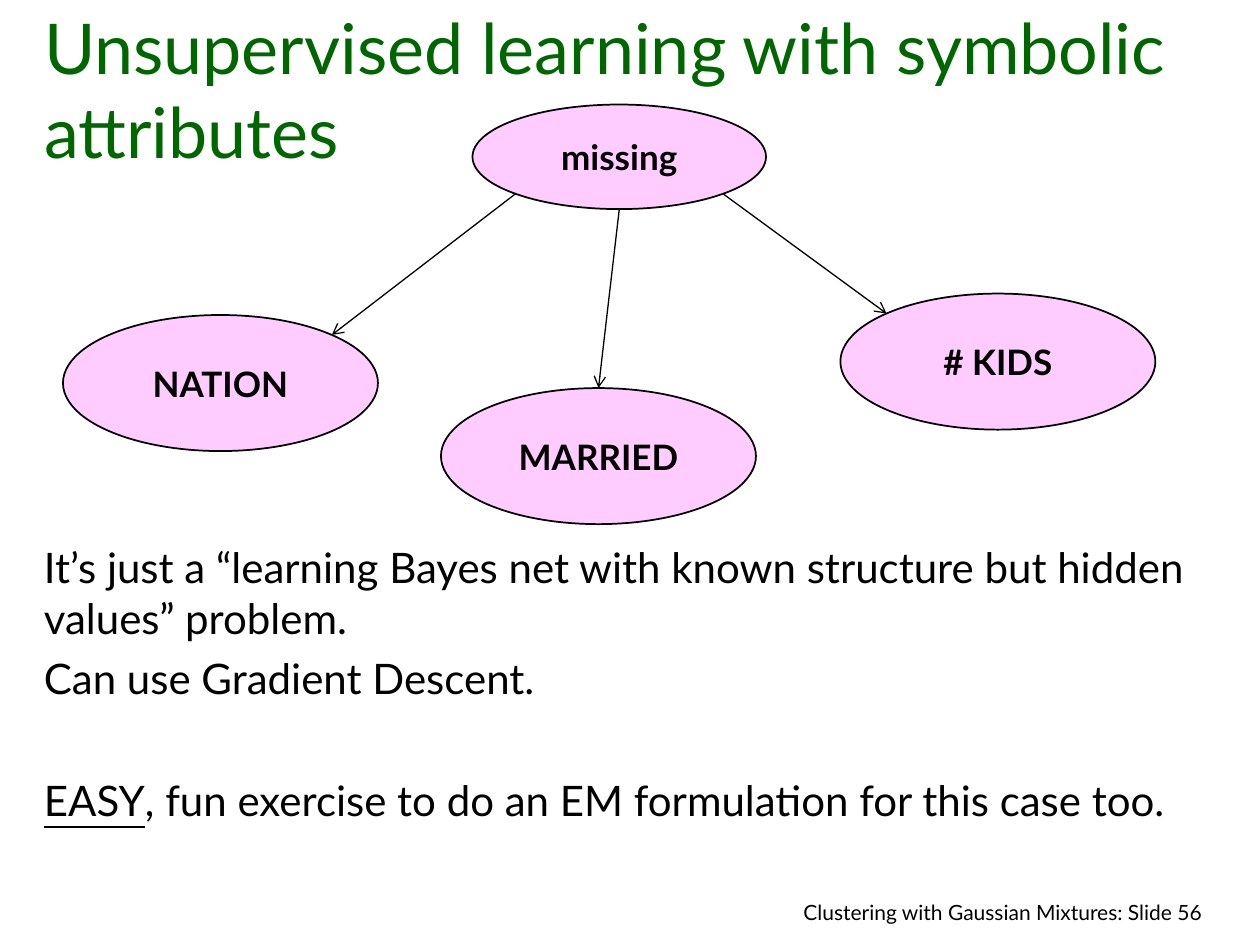
from math import sqrt

from lxml import etree
from pptx import Presentation
from pptx import util as u
from pptx.dml.color import RGBColor
from pptx.enum import shapes, text
from pptx.oxml import ns

FONT = "Lato"
BLACK = RGBColor(0x00, 0x00, 0x00)
GREEN = RGBColor(0x00, 0x66, 0x00)
PINK = RGBColor(0xFF, 0xCC, 0xFF)

# Content
TITLE = "Unsupervised learning with symbolic attributes"
FOOTER = "Clustering with Gaussian Mixtures: Slide 56"
# Each paragraph: space before in points, then (words, underlined) runs
BODY = [
    (6, [("It’s just a “learning Bayes net with known structure "
          "but hidden values” problem.", False)]),
    (6, [("Can use Gradient Descent.", False)]),
    (40.8, [("EASY", True),
            (", fun exercise to do an EM formulation for this case too.", False)]),
]
# Nodes of the network: left, top, width, height
NODES = {
    "# KIDS": (6.67, 2.33, 2.5, 1.08),
    "MARRIED": (3.5, 3.08, 2.5, 1.08),
    "NATION": (0.5, 2.5, 2.5, 1.08),
    "missing": (3.75, 0.83, 2.33, 0.83),
}
# Directions on an ellipse, as offsets from its centre in half-axes
DIAGONAL = 1 / sqrt(2)
TOP, BOTTOM = (0, -1), (0, 1)
TOP_LEFT, TOP_RIGHT = (-DIAGONAL, -DIAGONAL), (DIAGONAL, -DIAGONAL)
BOTTOM_LEFT, BOTTOM_RIGHT = (-DIAGONAL, DIAGONAL), (DIAGONAL, DIAGONAL)
EDGES = [
    ("missing", BOTTOM, "MARRIED", TOP),
    ("missing", BOTTOM_LEFT, "NATION", TOP_RIGHT),
    ("missing", BOTTOM_RIGHT, "# KIDS", TOP_LEFT),
]


def inches(values):
    return [u.Inches(value) for value in values]


def format_paragraph(paragraph, size, color=BLACK, bold=False,
                     align=text.PP_ALIGN.LEFT, before=0):
    paragraph.alignment = align
    paragraph.space_before = u.Pt(before)
    for run in paragraph.runs:
        run.font.name = FONT
        run.font.size = u.Pt(size)
        run.font.bold = bold
        run.font.color.rgb = color


def add_text_box(slide, box):
    text_frame = slide.shapes.add_textbox(*inches(box)).text_frame
    text_frame.word_wrap = True
    return text_frame


def add_title(slide):
    title = slide.shapes.title
    title.left, title.top, title.width, title.height = inches((0.25, 0.25, 9.33, 1.17))
    text_frame = title.text_frame
    text_frame.text = TITLE
    text_frame.auto_size = text.MSO_AUTO_SIZE.NONE
    text_frame.vertical_anchor = text.MSO_ANCHOR.BOTTOM
    format_paragraph(text_frame.paragraphs[0], 40, GREEN)


def add_body(slide):
    text_frame = add_text_box(slide, (0.25, 4.25, 9.38, 2.83))
    for index, (before, runs) in enumerate(BODY):
        paragraph = text_frame.add_paragraph() if index else text_frame.paragraphs[0]
        for words, underlined in runs:
            run = paragraph.add_run()
            run.text = words
            run.font.underline = underlined
        format_paragraph(paragraph, 24, before=before)


def add_footer(slide):
    text_frame = add_text_box(slide, (5.72, 7.09, 3.92, 0.33))
    text_frame.text = FOOTER
    format_paragraph(text_frame.paragraphs[0], 12,
                     align=text.PP_ALIGN.RIGHT, before=7.5)


def add_node(slide, label, box):
    node = slide.shapes.add_shape(shapes.MSO_SHAPE.OVAL, *inches(box))
    node.shadow.inherit = False
    node.fill.solid()
    node.fill.fore_color.rgb = PINK
    node.line.color.rgb = BLACK
    node.line.width = u.Pt(1)
    text_frame = node.text_frame
    text_frame.text = label
    text_frame.word_wrap = False
    text_frame.vertical_anchor = text.MSO_ANCHOR.MIDDLE
    format_paragraph(text_frame.paragraphs[0], 20, bold=True,
                     align=text.PP_ALIGN.CENTER, before=5)


def rim_point(label, direction):
    left, top, width, height = NODES[label]
    return (left + width / 2 * (1 + direction[0]),
            top + height / 2 * (1 + direction[1]))


def add_arrow(slide, start, end):
    arrow = slide.shapes.add_connector(shapes.MSO_CONNECTOR.STRAIGHT,
                                       *inches(start + end))
    arrow.line.color.rgb = BLACK
    arrow.line.width = u.Pt(0.75)
    etree.SubElement(arrow.line._get_or_add_ln(), ns.qn("a:tailEnd"), type="arrow")
    etree.SubElement(arrow._element.spPr, ns.qn("a:effectLst"))


def main():
    presentation = Presentation()
    presentation.slide_width, presentation.slide_height = inches((10, 7.5))
    slide = presentation.slides.add_slide(presentation.slide_layouts[5])

    # Text
    add_footer(slide)
    add_title(slide)
    add_body(slide)

    # Network
    for label, box in NODES.items():
        add_node(slide, label, box)
    for parent, leaving, child, arriving in EDGES:
        add_arrow(slide, rim_point(parent, leaving), rim_point(child, arriving))

    presentation.save("out.pptx")


if __name__ == "__main__":
    main()
